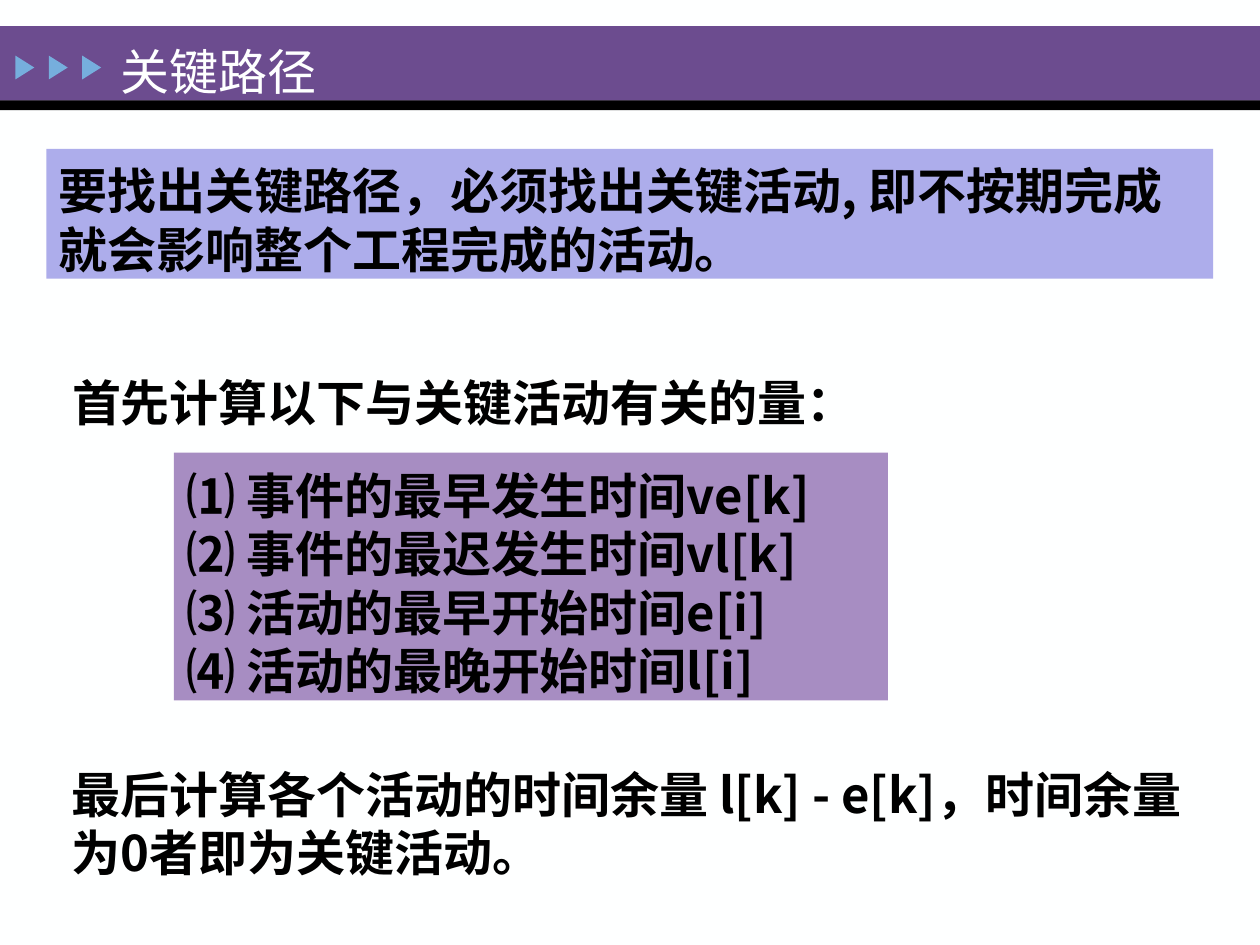
import pptx
import pptx.util
import pptx.dml.color
import pptx.enum.shapes
import pptx.enum.text
import lxml.etree
from pptx.oxml.ns import qn

Pt = pptx.util.Pt
RGB = pptx.dml.color.RGBColor
SHAPE = pptx.enum.shapes.MSO_SHAPE
ANCHOR = pptx.enum.text.MSO_ANCHOR

WHITE = RGB(0xFE, 0xFF, 0xFF)
BLACK = RGB(0, 0, 0)
PURPLE = RGB(0x6C, 0x4C, 0x8F)
BLUE = RGB(0x76, 0xAE, 0xDD)
LAVENDER = RGB(0xAD, 0xAD, 0xEB)
MAUVE = RGB(0xA7, 0x8D, 0xC2)
CJK = "Noto Sans CJK SC"
SERIF = "Times New Roman"

# Content
HEADER = ["关键路径"]
DEFINITION = ["要找出关键路径，必须找出关键活动, 即不按期完成就会影响整个工程完成的活动。"]
LEAD = ["首先计算以下与关键活动有关的量："]
QUANTITIES = [
    "⑴ 事件的最早发生时间ve[k]",
    "⑵ 事件的最迟发生时间vl[k]",
    "⑶ 活动的最早开始时间e[i]",
    "⑷ 活动的最晚开始时间l[i]",
]
CONCLUSION = ["最后计算各个活动的时间余量 l[k] - e[k]，时间余量为0者即为关键活动。"]


def place(shape, left, top, width, height):
    shape.left, shape.top = Pt(left), Pt(top)
    shape.width, shape.height = Pt(width), Pt(height)
    return shape


def add_box(s, kind, box, fill):
    sp = s.shapes.add_shape(kind, *map(Pt, box))
    sp.shadow.inherit = False
    sp.fill.solid()
    sp.fill.fore_color.rgb = fill
    sp.line.fill.background()
    return sp


def write(sp, lines, anchor=ANCHOR.TOP, font=CJK, color=BLACK, bold=True):
    tf = sp.text_frame
    tf.word_wrap = True
    tf.auto_size = pptx.enum.text.MSO_AUTO_SIZE.NONE
    tf.vertical_anchor = anchor
    tf.margin_left = tf.margin_right = Pt(7.2)
    tf.margin_top, tf.margin_bottom = Pt(7), Pt(0.2)
    for i, line in enumerate(lines):
        p = tf.paragraphs[0] if i == 0 else tf.add_paragraph()
        r = p.add_run()
        r.text = line
        p.alignment = pptx.enum.text.PP_ALIGN.LEFT
        p.line_spacing = Pt(33.4)
        p.font.size, p.font.bold = Pt(28), bold
        p.font.color.rgb = color
        # The run carries both the Latin and the East Asian typeface
        r.font.name = font
        ea = lxml.etree.SubElement(r.font._element, qn("a:ea"))
        ea.set("typeface", CJK)
    return tf


prs = pptx.Presentation()
prs.slide_width, prs.slide_height = Pt(720), Pt(540)
s = prs.slides.add_slide(prs.slide_layouts[5])
s.background.fill.solid()
s.background.fill.fore_color.rgb = WHITE

# Header band with three arrows
add_box(s, SHAPE.RECTANGLE, (0, 15, 720, 42.5), PURPLE)
add_box(s, SHAPE.RECTANGLE, (0, 57.4, 720, 5.6), BLACK)
for i in range(3):
    arrow = add_box(s, SHAPE.ISOSCELES_TRIANGLE, (7.4 + 19.1 * i, 33.2, 13.6, 10.8), BLUE)
    arrow.rotation = 90
header = s.shapes.add_textbox(Pt(26), Pt(17), Pt(608), Pt(41))
tf = write(header, HEADER, font=SERIF, color=WHITE, bold=False)
pPr = tf.paragraphs[0]._p.get_or_add_pPr()
pPr.set("marL", str(Pt(36)))
pPr.set("indent", "0")

# Body
definition = add_box(s, SHAPE.RECTANGLE, (26.6, 85.1, 666.7, 74.2), LAVENDER)
write(definition, DEFINITION)

lead = place(s.shapes.title, 34, 205.4, 576, 41.5)
write(lead, LEAD, ANCHOR.MIDDLE)

quantities = add_box(s, SHAPE.RECTANGLE, (99.4, 258.7, 408, 141.6), MAUVE)
write(quantities, QUANTITIES, ANCHOR.MIDDLE)

conclusion = s.shapes.add_textbox(Pt(34), Pt(430), Pt(675), Pt(74.2))
write(conclusion, CONCLUSION)

prs.save("out.pptx")
